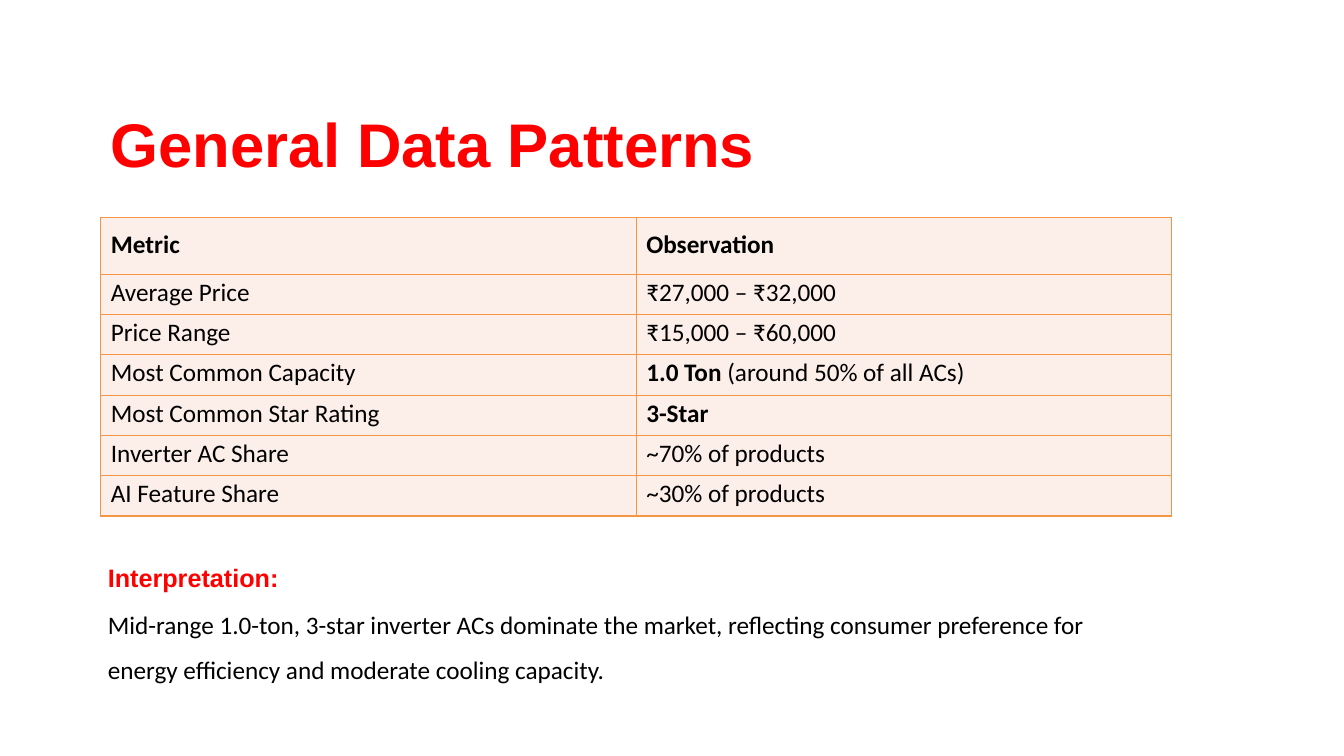
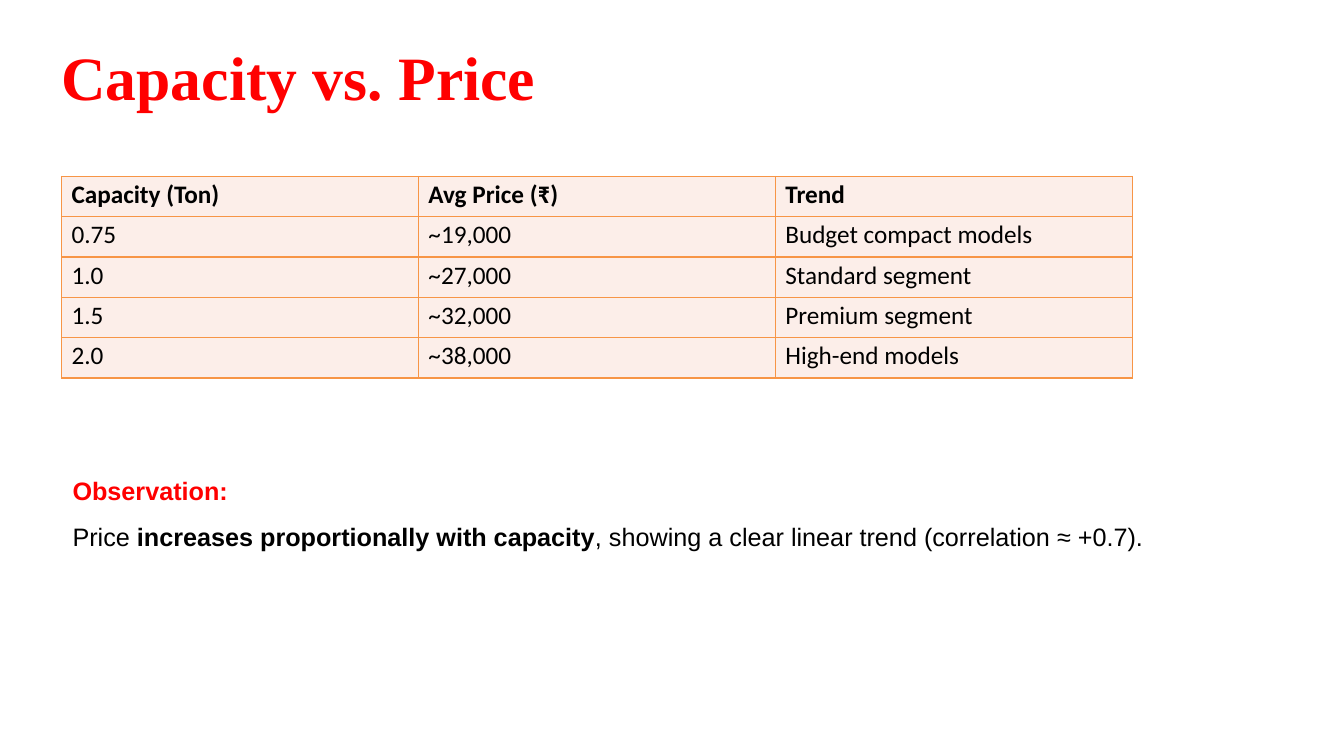
from pptx import Presentation
from pptx.dml.color import RGBColor
from pptx.enum.text import MSO_ANCHOR
from pptx.oxml.ns import qn
from pptx.util import Inches, Pt
from lxml.etree import SubElement

# Shared look
RED = RGBColor(0xFF, 0x00, 0x00)
BLACK = RGBColor(0x00, 0x00, 0x00)
PINK = RGBColor(0xFC, 0xEE, 0xE9)
ORANGE = RGBColor(0xF7, 0x95, 0x46)
BODY = "Calibri"
SANS = "Arial"
SERIF = "Times New Roman"
ROW = 0.4

METRICS = [
    ["**Metric**", "**Observation**"],
    ["Average Price", "₹27,000 – ₹32,000"],
    ["Price Range", "₹15,000 – ₹60,000"],
    ["Most Common Capacity", "**1.0 Ton** (around 50% of all ACs)"],
    ["Most Common Star Rating", "**3-Star**"],
    ["Inverter AC Share", "~70% of products"],
    ["AI Feature Share", "~30% of products"],
]
PRICES = [
    ["**Capacity (Ton)**", "**Avg Price (₹)**", "**Trend**"],
    ["0.75", "~19,000", "Budget compact models"],
    ["1.0", "~27,000", "Standard segment"],
    ["1.5", "~32,000", "Premium segment"],
    ["2.0", "~38,000", "High-end models"],
]


def write(para, text, font, size, color):
    """Fill a paragraph; parts between ** marks are bold."""
    for i, part in enumerate(text.split("**")):
        if part:
            run = para.add_run()
            run.text = part
            run.font.name = font
            run.font.size = Pt(size)
            run.font.color.rgb = color
            run.font.bold = i % 2 == 1


def add_box(slide, box, inset):
    shape = slide.shapes.add_textbox(*map(Inches, box))
    frame = shape.text_frame
    frame.word_wrap = True
    frame.vertical_anchor = MSO_ANCHOR.TOP
    frame.margin_left = Inches(0.01)
    frame.margin_top = Inches(inset)
    frame.margin_right = frame.margin_bottom = 0
    return frame


def add_title(slide, box, text, font, left=0.01, top=0.01):
    frame = add_box(slide, box, top)
    frame.margin_left = Inches(left)
    write(frame.paragraphs[0], f"**{text}**", font, 44, RED)


def add_note(slide, box, head, text, font, gap, pitch=None):
    """Red heading with a body paragraph below it."""
    frame = add_box(slide, box, 0.16)
    write(frame.paragraphs[0], f"**{head}**", SANS, 18, RED)
    para = frame.add_paragraph()
    para.space_before = Pt(gap)
    if pitch:
        para.line_spacing = Pt(pitch)
    write(para, text, font, 18, BLACK)


def set_edges(cell):
    props = cell._tc.get_or_add_tcPr()
    for side in ("a:lnL", "a:lnR", "a:lnT", "a:lnB"):
        line = SubElement(props, qn(side), w=str(Pt(1)))
        fill = SubElement(line, qn("a:solidFill"))
        SubElement(fill, qn("a:srgbClr"), val=str(ORANGE))


def add_grid(slide, left, top, width, rows, head=ROW):
    """Table with equal columns; the head row may be taller."""
    count = len(rows[0])
    high = head + ROW * (len(rows) - 1)
    table = slide.shapes.add_table(
        len(rows), count, *map(Inches, (left, top, width, high))).table
    for col in table.columns:
        col.width = Inches(width / count)
    for r, row in enumerate(rows):
        tall = head if r == 0 else ROW
        table.rows[r].height = Inches(tall)
        for c, text in enumerate(row):
            cell = table.cell(r, c)
            cell.margin_left = Inches(0.1)
            cell.margin_top = Inches(0.12 if tall > ROW else 0.03)
            cell.margin_right = cell.margin_bottom = 0
            cell.vertical_anchor = MSO_ANCHOR.TOP
            set_edges(cell)
            cell.fill.solid()
            cell.fill.fore_color.rgb = PINK
            write(cell.text_frame.paragraphs[0], text, BODY, 18, BLACK)


def add_general(slide):
    add_title(slide, (0.6, 0.38, 12.13, 1.42), "General Data Patterns",
              SANS, left=0.5, top=0.67)
    add_grid(slide, 1, 2.16, 10.62, METRICS, head=0.56)
    add_note(slide, (1.06, 5.42, 9.8, 1.38), "Interpretation:",
             "Mid-range 1.0-ton, 3-star inverter ACs dominate the market, "
             "reflecting consumer preference for energy efficiency and "
             "moderate cooling capacity.", BODY, gap=1, pitch=32.4)


def add_capacity(slide):
    add_title(slide, (0.6, 0.38, 4.8, 0.76), "Capacity vs. Price", SERIF)
    add_grid(slide, 0.61, 1.75, 10.62, PRICES)
    add_note(slide, (0.71, 4.56, 10.7, 0.93), "Observation:",
             "Price **increases proportionally with capacity**, showing a "
             "clear linear trend (correlation ≈ +0.7).", SANS, gap=10.8)


def main():
    deck = Presentation()
    deck.slide_width = Inches(13.33)
    deck.slide_height = Inches(7.5)
    for build in (add_general, add_capacity):
        build(deck.slides.add_slide(deck.slide_layouts[6]))
    deck.save("out.pptx")


if __name__ == "__main__":
    main()
